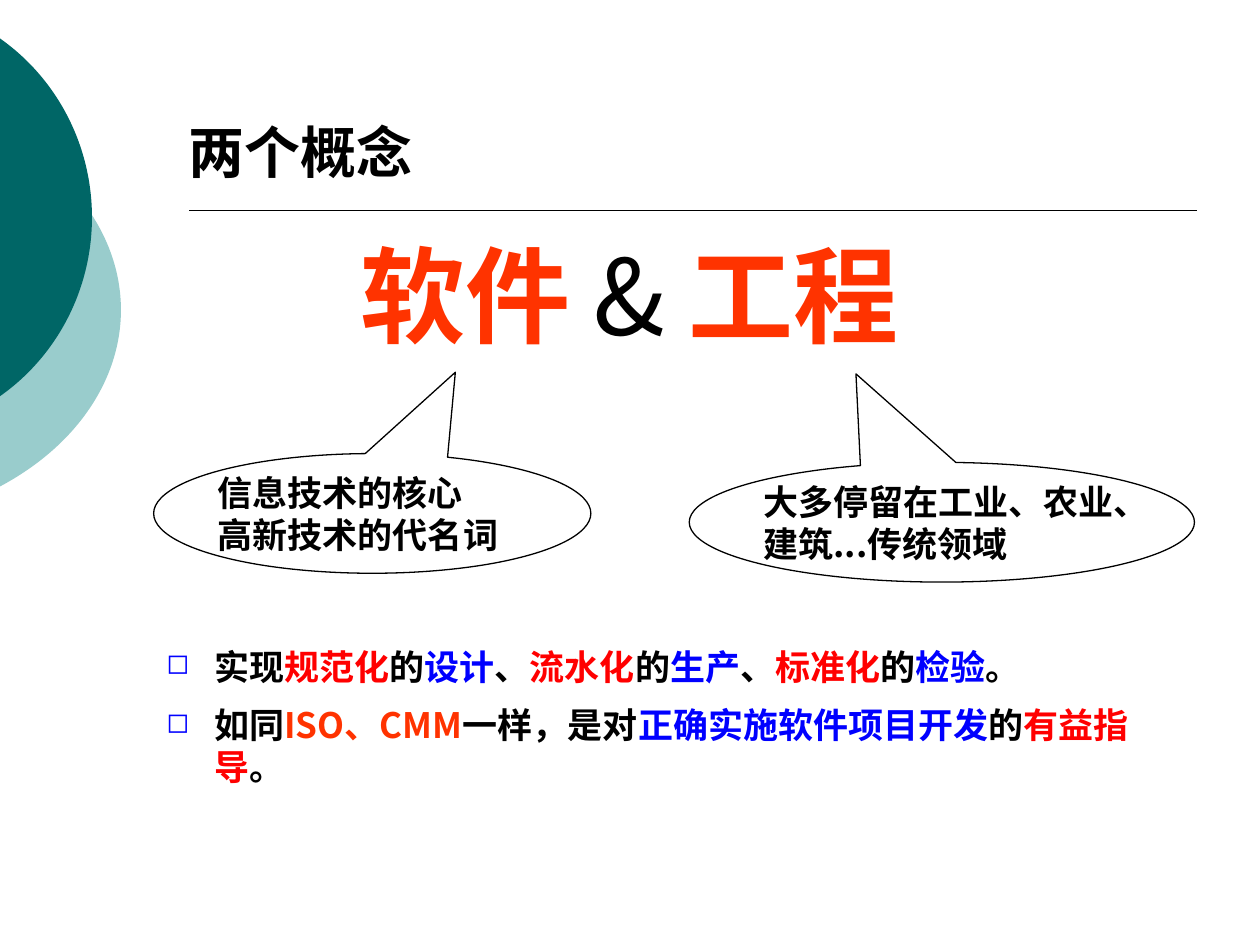
from dataclasses import dataclass

from lxml.etree import SubElement
from pptx import Presentation
from pptx.dml.color import RGBColor
from pptx.enum.shapes import MSO_CONNECTOR, MSO_SHAPE
from pptx.enum.text import MSO_ANCHOR, PP_ALIGN
from pptx.oxml.ns import qn
from pptx.util import Inches, Pt


@dataclass(frozen=True)
class Theme:
    font: str = "Noto Sans CJK SC"
    black: str = "000000"
    orange: str = "FF3300"
    red: str = "FF0000"
    blue: str = "0000FF"
    teal: str = "006666"
    pale: str = "99CCCC"
    title: int = 32
    hero: int = 60
    body: int = 20


@dataclass(frozen=True)
class Span:
    text: str
    color: str = Theme.black
    bold: bool = True


@dataclass(frozen=True)
class Box:
    x: float
    y: float
    w: float
    h: float

    def emu(self) -> tuple:
        return tuple(Inches(v) for v in (self.x, self.y, self.w, self.h))


@dataclass(frozen=True)
class Label:
    box: Box
    paragraphs: list
    size: int
    inset: tuple = (0, 0)
    bullets: bool = False


@dataclass(frozen=True)
class Callout:
    box: Box
    tip: tuple
    lines: list


@dataclass(frozen=True)
class Disc:
    box: Box
    color: str


T = Theme()

DISCS = [
    Disc(Box(-3.54, 0.75, 4.5, 3.42), T.pale),
    Disc(Box(-2.65, 0, 3.38, 3.45), T.teal),
]

LABELS = [
    Label(Box(1.5, 0.93, 2, 0.54), [[Span("两个概念")]], T.title),
    Label(
        Box(2.76, 1.78, 5.12, 1.11),
        [[Span("软件 ", T.orange), Span("& ", bold=False), Span("工程", T.orange)]],
        T.hero,
        (0.1, 0.05),
    ),
    Label(
        Box(1.32, 5.12, 7.85, 0.84),
        [
            [
                Span("实现"), Span("规范化", T.red), Span("的"), Span("设计", T.blue),
                Span("、"), Span("流水化", T.red), Span("的"), Span("生产", T.blue),
                Span("、"), Span("标准化", T.red), Span("的"), Span("检验", T.blue),
                Span("。"),
            ],
            [
                Span("如同"), Span("ISO、CMM", T.orange), Span("一样，是对"),
                Span("正确实施软件项目开发", T.blue), Span("的"),
                Span("有益指导", T.red), Span("。"),
            ],
        ],
        T.body,
        bullets=True,
    ),
]

CALLOUTS = [
    Callout(Box(1.22, 3.6, 3.47, 0.95), (0.19, -1.18),
            ["信息技术的核心", "高新技术的代名词"]),
    Callout(Box(5.47, 3.67, 4.01, 0.95), (-0.17, -1.24),
            ["大多停留在工业、农业、建筑...传统领域"]),
]


def rgb(color: str) -> RGBColor:
    return RGBColor.from_string(color)


def add_disc(shapes, disc: Disc) -> None:
    sp = shapes.add_shape(MSO_SHAPE.OVAL, *disc.box.emu())
    sp.shadow.inherit = False
    sp.fill.solid()
    sp.fill.fore_color.rgb = rgb(disc.color)
    sp.line.fill.background()


def add_rule(shapes, x1: float, x2: float, y: float) -> None:
    line = shapes.add_connector(
        MSO_CONNECTOR.STRAIGHT, Inches(x1), Inches(y), Inches(x2), Inches(y))
    line.line.color.rgb = rgb(T.black)
    line.line.width = Pt(1)
    SubElement(line._element.spPr, qn("a:effectLst"))


def add_bullet(p) -> None:
    pPr = p._p.get_or_add_pPr()
    pPr.set("marL", str(Inches(0.38)))
    pPr.set("indent", str(-Inches(0.38)))
    SubElement(SubElement(pPr, qn("a:buClr")), qn("a:srgbClr"), val=T.blue)
    SubElement(pPr, qn("a:buSzPct"), val="80000")
    SubElement(pPr, qn("a:buChar"), char="◻")


def write_text(tf, paragraphs: list, size: int, inset: tuple = (0, 0),
               bullets: bool = False, anchor=MSO_ANCHOR.TOP) -> None:
    dx, dy = (Inches(v) for v in inset)
    frame = {"word_wrap": True, "vertical_anchor": anchor, "margin_left": dx,
             "margin_right": dx, "margin_top": dy, "margin_bottom": dy}
    for name, value in frame.items():
        setattr(tf, name, value)
    for i, spans in enumerate(paragraphs):
        p = tf.add_paragraph() if i else tf.paragraphs[0]
        p.alignment = PP_ALIGN.LEFT
        if bullets:
            p.space_after = Pt(9.5)
            add_bullet(p)
        for span in spans:
            r = p.add_run()
            r.text = span.text
            style = {"size": Pt(size), "bold": span.bold, "name": T.font}
            for name, value in style.items():
                setattr(r.font, name, value)
            r.font.color.rgb = rgb(span.color)
            SubElement(r._r.get_or_add_rPr(), qn("a:ea"), typeface=T.font)


def add_label(shapes, label: Label) -> None:
    tf = shapes.add_textbox(*label.box.emu()).text_frame
    write_text(tf, label.paragraphs, label.size, label.inset, label.bullets)


def add_callout(shapes, callout: Callout) -> None:
    sp = shapes.add_shape(MSO_SHAPE.OVAL_CALLOUT, *callout.box.emu())
    sp.shadow.inherit = False
    sp.fill.background()
    sp.line.color.rgb = rgb(T.black)
    sp.line.width = Pt(0.75)
    for i, value in enumerate(callout.tip):
        sp.adjustments[i] = value
    write_text(sp.text_frame, [[Span(text)] for text in callout.lines], T.body,
               anchor=MSO_ANCHOR.MIDDLE)


def main() -> None:
    prs = Presentation()
    prs.slide_width, prs.slide_height = Inches(10), Inches(7.5)
    shapes = prs.slides.add_slide(prs.slide_layouts[6]).shapes
    for disc in DISCS:
        add_disc(shapes, disc)
    add_rule(shapes, 1.5, 9.5, 1.67)
    for label in LABELS:
        add_label(shapes, label)
    for callout in CALLOUTS:
        add_callout(shapes, callout)
    prs.save("out.pptx")


if __name__ == "__main__":
    main()
